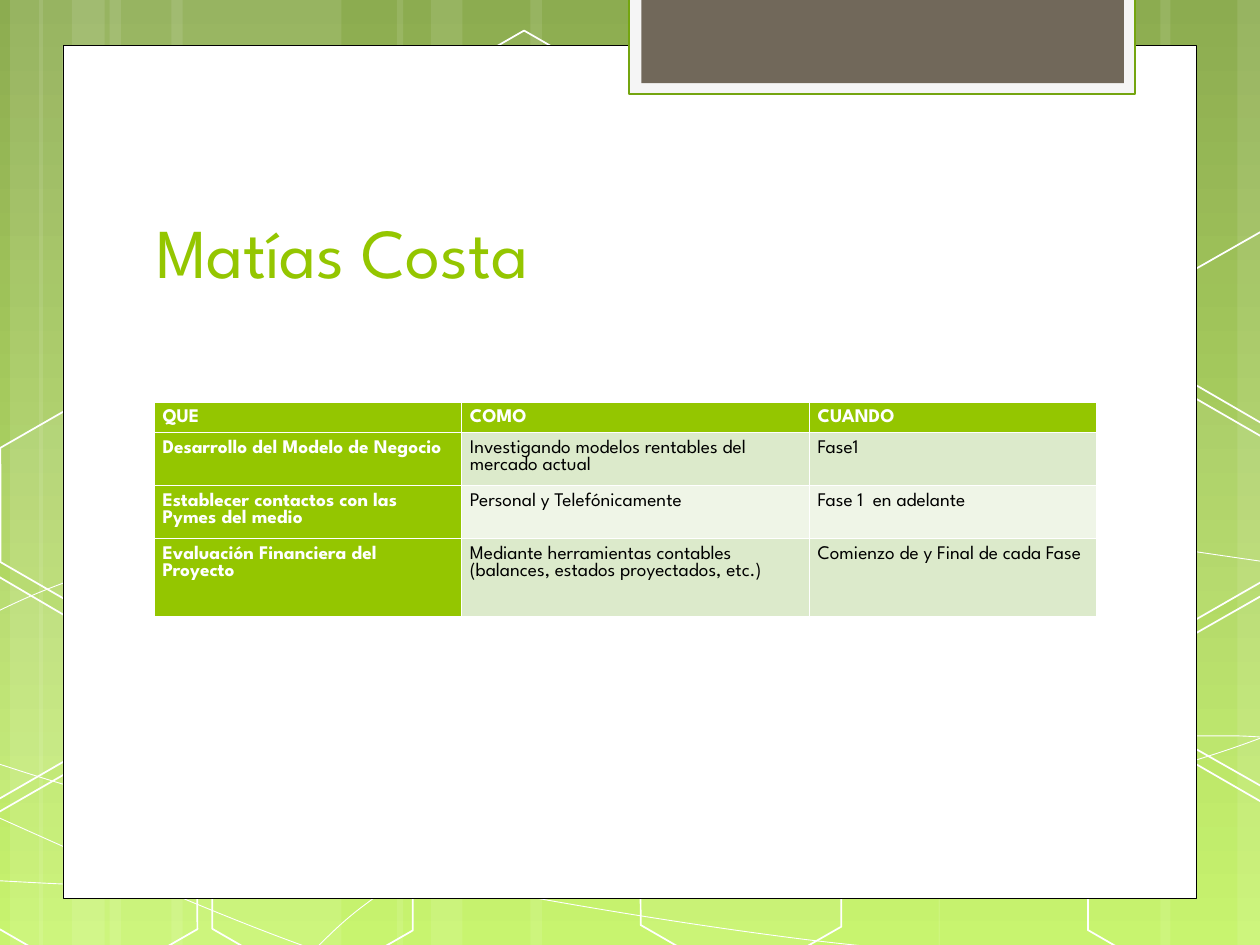
from copy import deepcopy
from math import cos, radians, sin
from lxml.etree import SubElement
from pptx import Presentation
from pptx.dml.color import RGBColor
from pptx.enum.shapes import MSO_SHAPE
from pptx.enum.text import MSO_ANCHOR
from pptx.oxml import parse_xml
from pptx.oxml.ns import nsdecls, qn
from pptx.util import Inches, Pt

# Content
TITLE = "Matías Costa"
ROWS = [
    ("QUE", "COMO", "CUANDO"),
    ("Desarrollo del Modelo de Negocio",
     "Investigando modelos rentables del mercado actual", "Fase1"),
    ("Establecer contactos con las Pymes del medio",
     "Personal y Telefónicamente", "Fase 1  en adelante"),
    ("Evaluación Financiera del Proyecto",
     "Mediante herramientas contables (balances, estados proyectados, etc.)",
     "Comienzo de y Final de cada Fase"),
]
COL_W = (2.44, 2.76, 2.28)
ROW_H = (0.23, 0.42, 0.42, 0.62)

THEME = {
    "font": "League Spartan", "title_pt": 40, "cell_pt": 11,
    "green": "94C600", "tab_edge": "74A510", "tab": "71685A", "pale": "F5F5F5",
    "white": "FFFFFF", "black": "000000", "bands": ("DCEACB", "EFF5E7"),
    "bg": ("80A33D", "C2F35F"), "curve_pt": 0.51, "hex_pt": 0.99,
}
W, H, STRIPE_H, TILT = 10, 7.5, 7.78, 30

# Background decoration: stripes (left, width)
STRIPES = [(0.87, 1.84), (-0.18, 0.52), (0.08, 0.88), (1.36, 1.84), (0.31, 0.52),
           (0.57, 0.88), (7.45, 1.84), (9.82, 0.52), (9.21, 0.88), (4.21, 3.25),
           (3.15, 0.52), (3.42, 0.88)]
# Curves: start point, then two controls and an end for each Bezier segment
CURVES = [
    [(-0.2, 6.98), (0.37, 7.01), (0.94, 7.05), (1.73, 7.03), (2.52, 7.02), (3.49, 7),
     (4.55, 6.9), (5.61, 6.79), (7.1, 6.6), (8.06, 6.4), (9.03, 6.2), (10.02, 5.89),
     (10.34, 5.71)],
    [(-0.2, 4.94), (0.11, 4.79), (0.41, 4.63), (1.01, 4.47), (1.61, 4.32), (2.45, 4.09),
     (3.39, 4.02), (4.32, 3.94), (5.46, 3.93), (6.62, 4.02), (7.77, 4.1), (9.7, 4.42),
     (10.34, 4.5)],
    [(-0.21, 6.4), (1.06, 6.97), (2.33, 7.54), (3.25, 7.77)],
    [(-0.2, 6), (0.13, 6.11), (0.46, 6.22), (1.08, 6.39), (1.69, 6.55), (2.61, 6.8),
     (3.48, 6.98), (4.36, 7.16), (5.47, 7.34), (6.34, 7.45), (7.21, 7.56), (8.15, 7.61),
     (8.71, 7.64), (9.26, 7.67), (9.41, 7.66), (9.68, 7.65), (9.95, 7.65), (10.14, 7.63),
     (10.34, 7.61)],
    [(2.28, 7.77), (2.47, 7.57), (2.65, 7.36), (2.91, 7.17), (3.16, 6.98), (3.52, 6.77),
     (3.81, 6.63), (4.11, 6.49), (4.29, 6.43), (4.67, 6.32), (5.06, 6.21), (5.77, 6.07),
     (6.14, 6), (6.51, 5.93), (6.56, 5.93), (6.89, 5.9), (7.21, 5.88), (7.73, 5.85),
     (8.09, 5.84), (8.45, 5.82), (9.06, 5.84), (9.06, 5.84), (9.3, 5.84), (9.5, 5.84),
     (9.76, 5.84), (9.95, 5.84), (10.13, 5.86), (10.32, 5.88)],
]
# Hexagons: left, top, opacity in percent (0 = no fill)
HEXAGONS = [(3.25, 0.37, 4), (4.96, 6.11, 6), (-0.15, 6.13, 0), (-0.12, 3.23, 7),
            (0.71, 4.68, 0), (1.56, 6.14, 0), (0.73, 1.77, 0), (7.66, 4.7, 10),
            (8.51, 6.15, 0), (8.51, 3.25, 7)]
# Hexagons cut by the slide edge: frame centre, outline, opacity
CUT_HEXAGONS = [
    ((0.1, 5.56), [(-0.19, 4.61), (-0.07, 4.54), (0.73, 5.01), (0.73, 5.92),
                   (-0.05, 6.37), (-0.17, 6.3)], 10),
    ((10.1, 5.38), [(9.48, 5.03), (10.27, 4.58), (10.35, 4.62), (10.36, 6.36),
                    (10.29, 6.4), (9.48, 5.94)], 4),
    ((10.1, 2.5), [(9.48, 2.14), (10.27, 1.69), (10.36, 1.74), (10.36, 3.48),
                   (10.29, 3.52), (9.48, 3.05)], 0),
]


def rgb(name):
    return RGBColor.from_string(THEME.get(name, name))


def style(sp, fill=None, alpha=100, line=None, pt=0.51):
    sp.shadow.inherit = False
    if fill and alpha:
        sp.fill.solid()
        sp.fill.fore_color.rgb = rgb(fill)
        if alpha < 100:
            clr = sp.fill._xPr.find(qn("a:solidFill"))[0]
            SubElement(clr, qn("a:alpha")).set("val", str(alpha * 1000))
    else:
        sp.fill.background()
    if line:
        sp.line.color.rgb = rgb(line)
        sp.line.width = Pt(pt)
    else:
        sp.line.fill.background()
    return sp


def add_box(x, y, w, h, kind=MSO_SHAPE.RECTANGLE, **fmt):
    sp = s.shapes.add_shape(kind, *map(Inches, (x, y, w, h)))
    return style(sp, **fmt)


def add_outline(points, close, **fmt):
    emu = [(Inches(x), Inches(y)) for x, y in points]
    fb = s.shapes.build_freeform(*emu[0])
    fb.add_line_segments(emu[1:], close=close)
    return style(fb.convert_to_shape(), **fmt)


def add_curve(points, **fmt):
    sp = add_outline(points, False, **fmt)
    # Join each three straight steps into one Bezier segment
    steps = list(sp._element.iter(qn("a:lnTo")))
    for a, b, c in zip(steps[::3], steps[1::3], steps[2::3]):
        a.tag_owner = a.getparent()
        bez = SubElement(a.getparent(), qn("a:cubicBezTo"))
        for step in (a, b, c):
            bez.append(step[0])
            step.getparent().remove(step)


def turn(point, centre, degrees):
    a, dx, dy = radians(degrees), point[0] - centre[0], point[1] - centre[1]
    return (centre[0] + dx * cos(a) - dy * sin(a), centre[1] + dx * sin(a) + dy * cos(a))


def put_text(tf, text, size, color, bold=False, spacing=None):
    tf.word_wrap = True
    p = tf.paragraphs[0]
    if spacing:
        p.line_spacing = spacing
    r = p.add_run()
    r.text = text
    r.font.name, r.font.size, r.font.bold = THEME["font"], Pt(size), bold
    r.font.color.rgb = rgb(color)
    rpr = r._r.rPr
    end = SubElement(p._p, qn("a:endParaRPr"), dict(rpr.attrib))
    end.extend(deepcopy(list(rpr)))


def add_borders(cell, widths):
    for i, (side, pt) in enumerate(widths.items()):
        cell._tc.get_or_add_tcPr().insert(i, parse_xml(
            f'<a:ln{side} {nsdecls("a")} w="{int(Pt(pt))}"><a:solidFill>'
            f'<a:srgbClr val="{THEME["white"]}"/></a:solidFill></a:ln{side}>'))


prs = Presentation()
prs.slide_width, prs.slide_height = Inches(W), Inches(H)
s = prs.slides.add_slide(prs.slide_layouts[6])

# Background gradient, top to bottom
bg = s.background.fill
bg.gradient()
bg.gradient_angle = 270
for stop, color, pos in zip(bg.gradient_stops, THEME["bg"], (0, 1)):
    stop.color.rgb, stop.position = rgb(color), pos

# Stripes, curves and hexagons
for x, w in STRIPES:
    add_box(x, 0, w, STRIPE_H, fill="white", alpha=10)
for curve in CURVES:
    add_curve(curve, line="white", pt=THEME["curve_pt"])
hex_line = {"fill": "white", "line": "white", "pt": THEME["hex_pt"]}
for x, y, alpha in HEXAGONS:
    sp = add_box(x, y, 1.84, 1.57, MSO_SHAPE.HEXAGON, alpha=alpha, **hex_line)
    sp.adjustments[0] = 0.29
    sp.rotation = TILT
for centre, points, alpha in CUT_HEXAGONS:
    sp = add_outline([turn(p, centre, -TILT) for p in points], True, alpha=alpha, **hex_line)
    sp.rotation = TILT

# Page and its top tab
add_box(0.5, 0.36, 9, 6.77, fill="white", line="black")
add_box(4.99, -0.02, 4.02, 0.77, fill="pale", line="tab_edge", pt=1.25)
add_box(5.09, -0.02, 3.83, 0.68, fill="tab")

# Title
tf = s.shapes.add_textbox(*map(Inches, (1.14, 1.12, 7.68, 1.25))).text_frame
tf.vertical_anchor = MSO_ANCHOR.BOTTOM
put_text(tf, TITLE, THEME["title_pt"], "green")

# Table
tbl = s.shapes.add_table(len(ROWS), len(COL_W), Inches(1.22), Inches(3.19),
                         Inches(sum(COL_W)), Inches(sum(ROW_H))).table
for col, w in zip(tbl.columns, COL_W):
    col.width = Inches(w)
for i, (row, h) in enumerate(zip(ROWS, ROW_H)):
    tbl.rows[i].height = Inches(h)
    for j, text in enumerate(row):
        cell, head = tbl.cell(i, j), i == 0 or j == 0
        cell.margin_left = cell.margin_right = Inches(0.07)
        cell.margin_top, cell.margin_bottom = Inches(0.06), Inches(0)
        cell.fill.solid()
        cell.fill.fore_color.rgb = rgb("green" if head else THEME["bands"][(i - 1) % 2])
        put_text(cell.text_frame, text, THEME["cell_pt"],
                 "white" if head else "black", bold=head, spacing=0.98)
        add_borders(cell, {"L": 0.23, "R": 0.23, "T": 0.74 if i == 1 else 0.23,
                           "B": 0.74 if i == 0 else 0.23})

prs.save("out.pptx")
